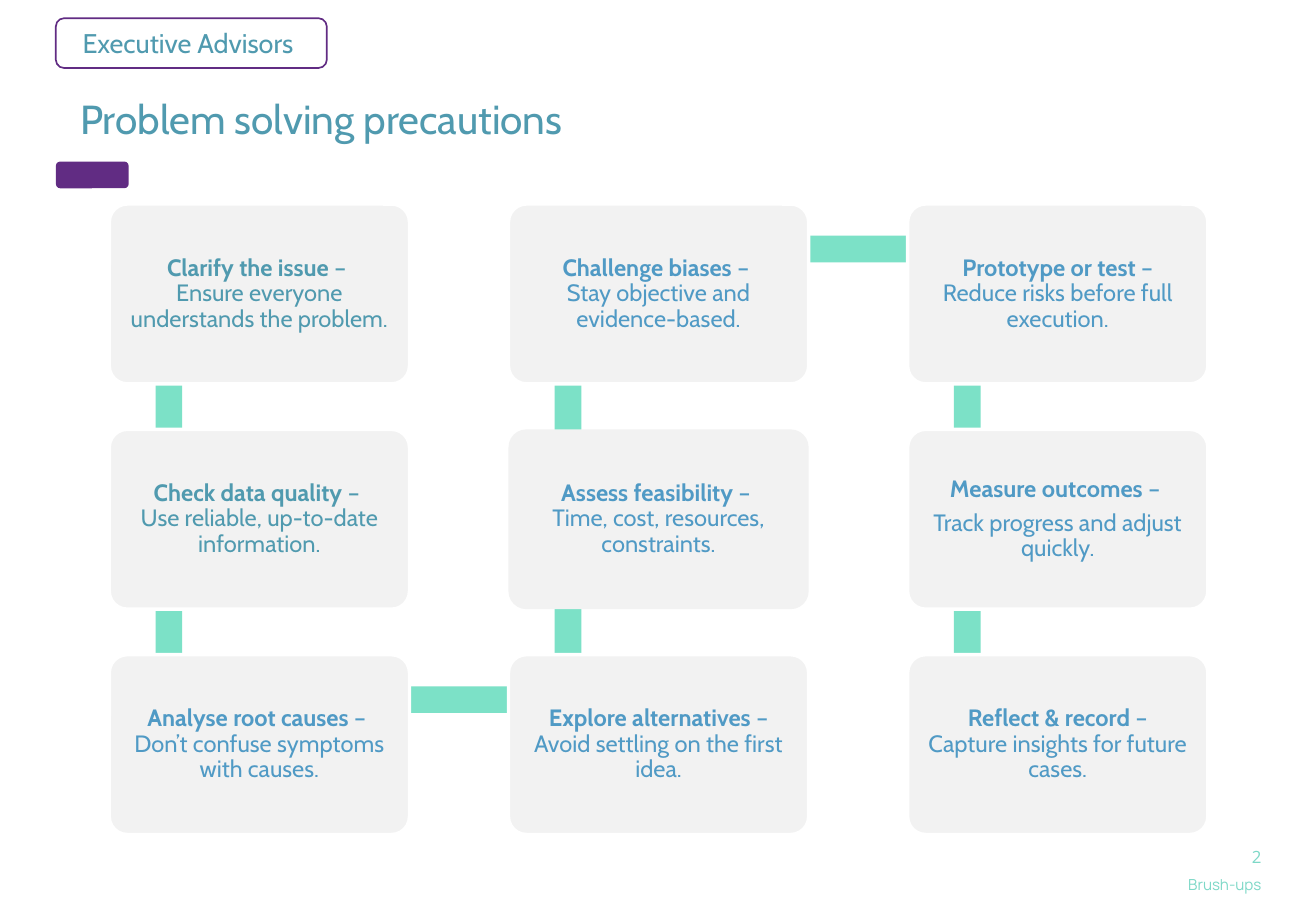
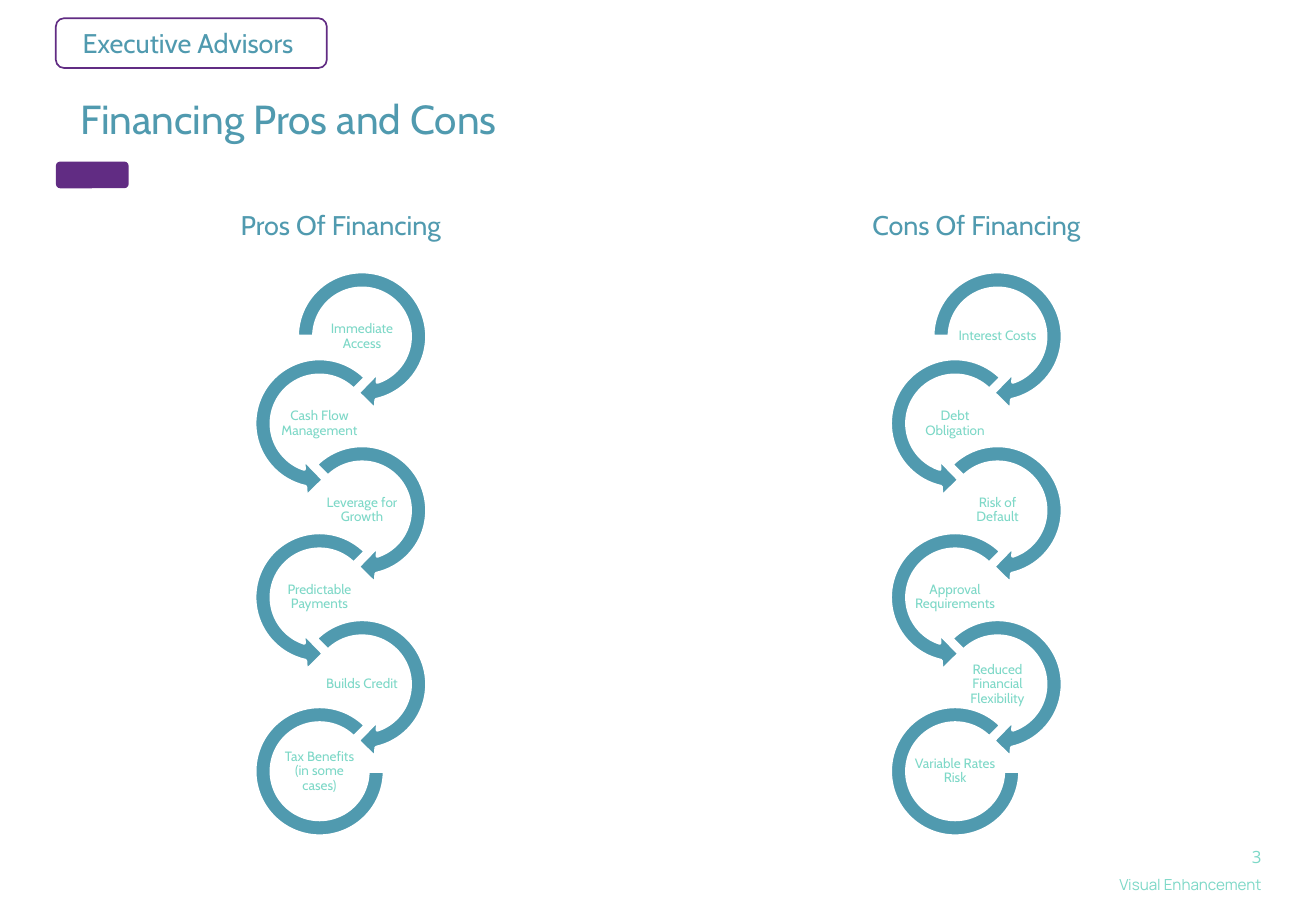
from copy import deepcopy
from pptx import Presentation, util as u
from pptx.dml.color import RGBColor
from pptx.enum import shapes, text

W, H = 10.83, 7.5
TEAL, BLUE, MINT = "509AAF", "509AC5", "7DD8C7"
BAR, CARD, PLUM, WHITE = "7CE1C7", "F2F2F2", "612C83", "FFFFFF"
HEAD = dict(size=16, name="Cabin", color=TEAL)
TITLE = dict(size=24, name="Cabin", color=TEAL)
PAGE = dict(size=10, name="Open Sans", color=MINT)
LABEL = dict(size=9, name="Manrope", color=MINT)
RING = dict(size=8, name="Cabin", color=MINT)
KIND = shapes.MSO_SHAPE
MID, TOP = text.MSO_ANCHOR.MIDDLE, text.MSO_ANCHOR.TOP
LEFT, MIDST, RIGHT = text.PP_ALIGN.LEFT, text.PP_ALIGN.CENTER, text.PP_ALIGN.RIGHT

STEPS = [
    (0, 0, "Clarify the issue", " – ", "Ensure everyone understands the problem."),
    (0, 1, "Check data quality", " – ", "Use reliable, up-to-date information."),
    (0, 2, "Analyse root causes", " – ", "Don’t confuse symptoms with causes."),
    (1, 2, "Explore alternatives", " –", "Avoid settling on the first idea."),
    (1, 1, "Assess feasibility", " – ", "Time, cost, resources, constraints."),
    (1, 0, "Challenge biases", " – ", "Stay objective and evidence-based."),
    (2, 0, "Prototype or test", " –", "Reduce risks before full execution."),
    (2, 1, "Measure outcomes", " – ", "Track progress and adjust quickly."),
    (2, 2, "Reflect & record", " –", "Capture insights for future cases."),
]
SIDES = [
    ("Pros Of Financing",
     ["Immediate Access", "Cash Flow Management", "Leverage for Growth",
      "Predictable Payments", "Builds Credit", "Tax Benefits (in some cases)"]),
    ("Cons Of Financing",
     ["Interest Costs", "Debt Obligation", "Risk of Default",
      "Approval Requirements", "Reduced Financial Flexibility", "Variable Rates Risk"]),
]


def rgb(code):
    """Turn a hex string into a colour."""
    return RGBColor.from_string(code)


def place(item, box):
    """Move an item to a box in inches."""
    for key, val in zip(("left", "top", "width", "height"), box):
        setattr(item, key, u.Inches(val))


def style(run, form):
    """Apply a dict of format values to a run."""
    for key, val in form.items():
        if key == "color":
            run.font.color.rgb = rgb(val)
        else:
            setattr(run.font, key, u.Pt(val) if key == "size" else val)


def frame(item, pad, anchor):
    """Set wrap, padding and anchor of an item's text."""
    body = item.text_frame
    sides = ("margin_left", "margin_top", "margin_right", "margin_bottom")
    form = dict(zip(sides, map(u.Inches, pad)))
    form.update(word_wrap=True, auto_size=text.MSO_AUTO_SIZE.NONE, vertical_anchor=anchor)
    for key, val in form.items():
        setattr(body, key, val)
    return body


def write(item, words, form, pad=(0, 0, 0, 0), anchor=MID, align=LEFT, lead=1.0):
    """Put one styled paragraph in an item."""
    para = frame(item, pad, anchor).paragraphs[0]
    para.alignment, para.line_spacing = align, lead
    run = para.add_run()
    run.text = words
    style(run, form)


def draw(slide, kind, box, fill=None, line=None, wide=1, adj=()):
    """Add a flat preset shape."""
    item = slide.shapes.add_shape(kind, *map(u.Inches, box))
    item.shadow.inherit = False
    for paint, code in ((item.fill, fill), (item.line.fill, line)):
        if code:
            paint.solid()
            paint.fore_color.rgb = rgb(code)
        else:
            paint.background()
    if line:
        item.line.width = u.Pt(wide)
    for i, val in enumerate(adj):
        item.adjustments[i] = val
    return item


def note(slide, box, words, form, **more):
    """Add a text box."""
    write(slide.shapes.add_textbox(*map(u.Inches, box)), words, form, **more)


def base(deck, title, page, label):
    """Add a slide with the shared tag, title, band and footer."""
    slide = deck.slides.add_slide(deck.slide_layouts[5])
    tag = draw(slide, KIND.ROUNDED_RECTANGLE, (0.46, 0.15, 2.23, 0.41), line=PLUM)
    write(tag, "Executive Advisors", HEAD, pad=(0.2, 0.05, 0.1, 0.05))
    draw(slide, KIND.ROUNDED_RECTANGLE, (0.46, 1.33, 0.6, 0.22), PLUM)
    place(slide.shapes.title, (0.46, 0.72, 9.34, 0.59))
    write(slide.shapes.title, title, TITLE, pad=(0.2, 0.05, 0.2, 0.05), anchor=TOP)
    note(slide, (10.07, 6.95, 0.41, 0.21), page, PAGE, pad=(0.1, 0.05, 0.1, 0.05), align=RIGHT)
    note(slide, (6.94, 7.21, 3.44, 0.15), label, LABEL, align=RIGHT)
    return slide


def card(slide, box, head, dash, body, code, edge, split):
    """Draw one step card with a bold head and its advice."""
    item = draw(slide, KIND.ROUNDED_RECTANGLE, box, CARD, edge, 2, (0.1,))
    para = frame(item, (0.1,) * 4, MID).paragraphs[0]
    form = dict(size=14, name="Cabin", color=code)
    for words, bold in ((head, True), (dash, False), (body, False)):
        if words == body:
            if split:
                para.space_after = u.Pt(5)
                para = item.text_frame.add_paragraph()
            else:
                para.add_line_break()
                para._p[-1].append(deepcopy(para.runs[-1]._r.rPr))
        para.alignment, para.line_spacing = MIDST, 0.9
        run = para.add_run()
        run.text = words
        style(run, dict(form, bold=bold))


def snake(slide, box):
    """Lay the steps on a 3 by 3 grid, joined by bars in reading order."""
    x, y, w, h = box
    cw, ch, bar = 2.47, 1.48, 0.22
    dx, dy = (w - cw) / 2, (h - ch) / 2
    spots = [(x + col * dx, y + row * dy) for col, row, *_ in STEPS]
    for (ax, ay), (bx, by) in zip(spots, spots[1:]):
        if ax == bx:
            part = (ax + 0.38, min(ay, by) + 0.37, bar, dy)
        else:
            part = (ax + 0.5, ay + 0.26, dx, bar)
        draw(slide, KIND.RECTANGLE, part, BAR)
    for i, (spot, (_, _, head, dash, body)) in enumerate(zip(spots, STEPS)):
        card(slide, (*spot, cw, ch), head, dash, body, TEAL if i < 2 else BLUE,
             None if i == 4 else WHITE, i == 7)


def chain(slide, box, names):
    """Draw a zigzag chain of ring arrows with a name in each."""
    x, y, w, h = box
    size = 0.78 * w
    step = (h - size) / (len(names) - 1)
    for i, name in enumerate(names):
        left, top = x + (0 if i % 2 else w - size), y + i * step
        ring, cut = (left, top, size, size), 0.07 * size
        if i == len(names) - 1:
            kind, adj = KIND.BLOCK_ARC, (0, 189, 0.127)
            ring = (left + cut, top + cut, size - 2 * cut, size - 2 * cut)
        elif i % 2:
            kind, adj = KIND.LEFT_CIRCULAR_ARROW, (0.11, 11.423, 63, 189, 0.125)
        else:
            kind, adj = KIND.CIRCULAR_ARROW, (0.11, 11.423, 45, 135 if i else 108, 0.125)
        draw(slide, kind, ring, TEAL, WHITE, 2, adj)
        note(slide, (left + 0.22 * size, top + 0.36 * size, 0.56 * size, 0.28 * size),
             name, RING, pad=(0.01,) * 4, align=MIDST, lead=0.9)


def side(slide, box, head, names):
    """Fill one half with its heading and chain."""
    x, y, w, h = box
    note(slide, (x, y, w, 0.48), head, HEAD, pad=(0.2, 0.05, 0.2, 0.05),
         anchor=TOP, align=MIDST)
    chain(slide, (x + (w - 1.59) / 2, y + 0.48, 1.59, h - 0.48), names)


def main():
    """Build and save the deck."""
    deck = Presentation()
    deck.slide_width, deck.slide_height = u.Inches(W), u.Inches(H)
    snake(base(deck, "Problem solving precautions", "2", "Brush-ups"),
          (0.9, 1.68, 9.04, 5.19))
    slide = base(deck, "Financing Pros and Cons", "3", "Visual Enhancement")
    for i, (head, names) in enumerate(SIDES):
        side(slide, (0.46 + i * 5.23, 1.67, 4.69, 5.3), head, names)
    deck.save("out.pptx")


if __name__ == "__main__":
    main()
